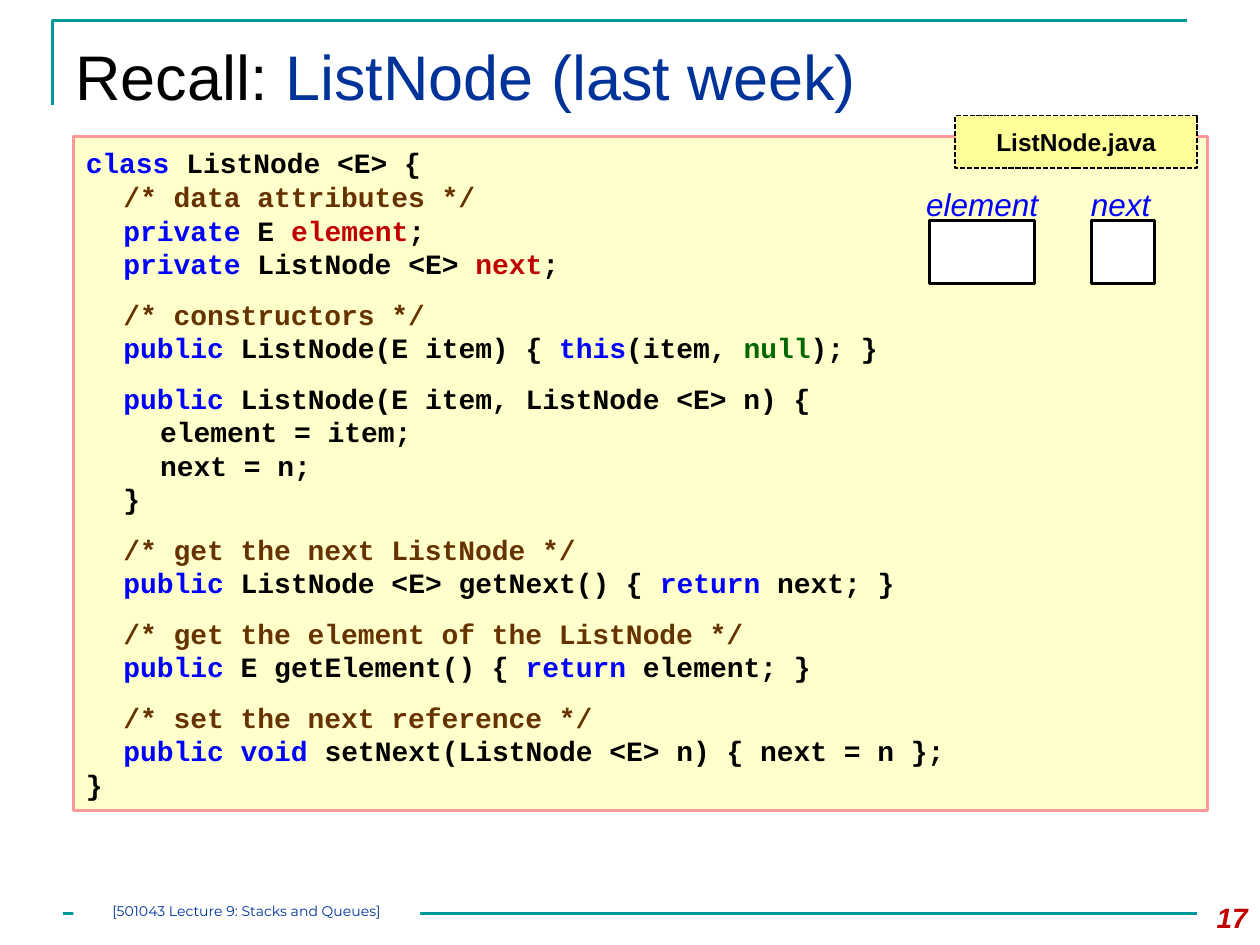
from dataclasses import dataclass

from lxml import etree
from pptx import Presentation
from pptx.dml.color import RGBColor
from pptx.enum.dml import MSO_LINE
from pptx.enum.shapes import MSO_CONNECTOR, MSO_SHAPE
from pptx.enum.text import MSO_ANCHOR, PP_ALIGN
from pptx.oxml.ns import qn
from pptx.util import Cm, Pt

RECT = MSO_SHAPE.RECTANGLE
STRAIGHT = MSO_CONNECTOR.STRAIGHT
DASH = MSO_LINE.SQUARE_DOT
TOP, MIDDLE = MSO_ANCHOR.TOP, MSO_ANCHOR.MIDDLE
LEFT, CENTER, RIGHT = PP_ALIGN.LEFT, PP_ALIGN.CENTER, PP_ALIGN.RIGHT

TEAL, NAVY, BLACK, WHITE = "009999", "003399", "000000", "FFFFFF"
KEYWORD, COMMENT, FIELD, LITERAL = "0000FF", "663300", "C00000", "006600"
TAB_STOPS = (0.76, 1.5, 2.26)


@dataclass
class Box:
    left: float
    top: float
    width: float
    height: float

    def lengths(self) -> tuple:
        return Cm(self.left), Cm(self.top), Cm(self.width), Cm(self.height)


@dataclass
class Style:
    size: float
    font: str = "Arial"
    bold: bool = False
    italic: bool = False


@dataclass
class CodeLine:
    runs: list
    gap: bool = False


@dataclass
class NodeField:
    name: str
    label: Box
    cell: Box


def rgb(colour: str) -> RGBColor:
    return RGBColor.from_string(colour)


def add_runs(paragraph, runs: list, style: Style) -> None:
    for text, colour in runs:
        run = paragraph.add_run()
        run.text = text
        run.font.name = style.font
        run.font.size = Pt(style.size)
        run.font.bold = style.bold
        run.font.italic = style.italic
        run.font.color.rgb = rgb(colour)


def write(shape, runs: list, style: Style, align=LEFT, anchor=TOP, wrap=True) -> None:
    frame = shape.text_frame
    frame.word_wrap = wrap
    frame.vertical_anchor = anchor
    frame.paragraphs[0].alignment = align
    add_runs(frame.paragraphs[0], runs, style)


def add_text(shapes, box: Box, runs: list, style: Style, **layout):
    shape = shapes.add_textbox(*box.lengths())
    write(shape, runs, style, **layout)
    return shape


def add_panel(shapes, box: Box, fill: str, line: str = "", width: float = 1):
    panel = shapes.add_shape(RECT, *box.lengths())
    panel.shadow.inherit = False
    panel.fill.solid()
    panel.fill.fore_color.rgb = rgb(fill)
    if line:
        panel.line.color.rgb = rgb(line)
        panel.line.width = Pt(width)
    else:
        panel.line.fill.background()
    return panel


def write_code(panel, lines: list, style: Style) -> None:
    frame = panel.text_frame
    frame.word_wrap = True
    frame.vertical_anchor = MIDDLE
    for index, line in enumerate(lines):
        paragraph = frame.add_paragraph() if index else frame.paragraphs[0]
        paragraph.alignment = LEFT
        paragraph.line_spacing = Pt(19.2)
        paragraph.space_before = Pt(9.6 if line.gap else 0)
        tabs = etree.SubElement(paragraph._p.get_or_add_pPr(), qn("a:tabLst"))
        for stop in TAB_STOPS:
            etree.SubElement(tabs, qn("a:tab"), pos=str(int(Cm(stop))), algn="l")
        add_runs(paragraph, line.runs, style)


def plain(text: str) -> tuple:
    return text, BLACK


def key(text: str) -> tuple:
    return text, KEYWORD


def note(text: str) -> list:
    return [plain("\t"), (f"/* {text} */", COMMENT)]


def member(modifier: str, *rest: tuple) -> list:
    return [plain("\t"), key(modifier), *rest]


CODE = [
    CodeLine([key("class"), plain(" ListNode <E> {")]),
    CodeLine(note("data attributes")),
    CodeLine(member("private", plain(" E "), ("element", FIELD), plain(";"))),
    CodeLine(member("private", plain(" ListNode <E> "), ("next", FIELD), plain(";"))),
    CodeLine(note("constructors"), gap=True),
    CodeLine(member("public", plain(" ListNode(E item) { "), key("this"),
                    plain("(item, "), ("null", LITERAL), plain("); }"))),
    CodeLine(member("public", plain(" ListNode(E item, ListNode <E> n) { ")), gap=True),
    CodeLine([plain("\t\telement = item; ")]),
    CodeLine([plain("\t\tnext = n;")]),
    CodeLine([plain("\t}")]),
    CodeLine(note("get the next ListNode"), gap=True),
    CodeLine(member("public", plain(" ListNode <E> getNext() { "), key("return"),
                    plain(" next; }"))),
    CodeLine(note("get the element of the ListNode"), gap=True),
    CodeLine(member("public", plain(" E getElement() { "), key("return"),
                    plain(" element; }"))),
    CodeLine(note("set the next reference"), gap=True),
    CodeLine(member("public void ", plain("setNext(ListNode <E> n) { next = n };"))),
    CodeLine([plain("}")]),
]

NODE_FIELDS = [
    NodeField("element", Box(18.42, 3.6, 2.79, 1.02), Box(18.74, 4.45, 2.12, 1.27)),
    NodeField("next", Box(21.74, 3.6, 1.73, 1.02), Box(22.01, 4.45, 1.27, 1.27)),
]

deck = Presentation()
deck.slide_width, deck.slide_height = Cm(25.4), Cm(19.05)
shapes = deck.slides.add_slide(deck.slide_layouts[6]).shapes

corner = shapes.build_freeform(Cm(1.06), Cm(2.12))
corner.add_line_segments([(Cm(1.06), Cm(0.42)), (Cm(23.92), Cm(0.42))], close=False)
title_rule = corner.convert_to_shape()
title_rule.shadow.inherit = False
title_rule.fill.background()

footer_rule = shapes.add_connector(STRAIGHT, Cm(1.27), Cm(18.41), Cm(24.13), Cm(18.41))
etree.SubElement(footer_rule._element.spPr, qn("a:effectLst"))
for rule in (title_rule, footer_rule):
    rule.line.color.rgb = rgb(TEAL)
    rule.line.width = Pt(1.5)

add_text(shapes, Box(1.27, 0.64, 22.86, 2.18),
         [plain("Recall: "), ("ListNode (last week)", NAVY)], Style(36))
add_text(shapes, Box(23.7, 18.03, 1.7, 1.02), [("17", FIELD)],
         Style(16, bold=True, italic=True), align=RIGHT)

listing = add_panel(shapes, Box(1.48, 2.75, 22.86, 13.59), "FFFFCC", "FF9999", 2)
write_code(listing, CODE, Style(16, "Courier New", bold=True))

file_tag = add_panel(shapes, Box(19.26, 2.33, 4.87, 1.06), "FFFF99", BLACK)
file_tag.line.dash_style = DASH
write(file_tag, [plain("ListNode.java")], Style(14, bold=True), CENTER, MIDDLE)

for field in NODE_FIELDS:
    add_text(shapes, field.label, [key(field.name)], Style(18, italic=True), wrap=False)
    add_panel(shapes, field.cell, WHITE, BLACK, 1.5)

lecture = add_panel(shapes, Box(1.48, 18.2, 6.99, 0.42), WHITE)
margins = lecture.text_frame
margins.margin_left = margins.margin_right = margins.margin_top = margins.margin_bottom = 0
write(lecture, [("[501043 Lecture 9: Stacks and Queues]", NAVY)],
      Style(8, "Montserrat"), CENTER)

deck.save("out.pptx")
